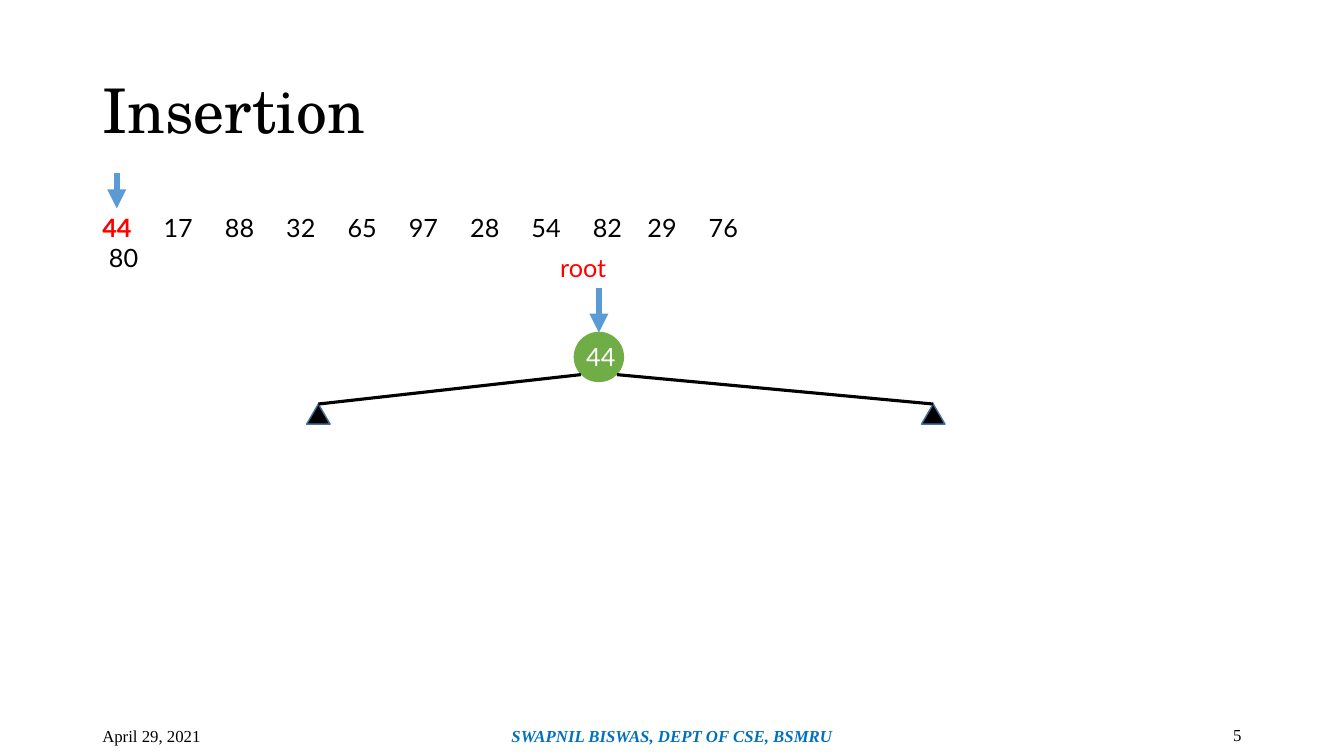
from dataclasses import dataclass

from lxml.etree import SubElement as Sub
from pptx import Presentation
from pptx.dml.color import RGBColor as Rgb
from pptx.enum.shapes import MSO_CONNECTOR as Link, MSO_SHAPE as Kind
from pptx.enum.text import MSO_ANCHOR as Anchor, MSO_AUTO_SIZE as Fit, PP_ALIGN as Align
from pptx.oxml.ns import qn
from pptx.util import Inches, Pt

COLS, ROWS = 160, 90  # slide grid of square cells
CELL = Inches(7.5) / ROWS
LINE = 4.8  # rows taken by one line of text


@dataclass(frozen=True)
class Theme:
    ink: str = "000000"
    paper: str = "FFFFFF"
    mark: str = "FF0000"
    arrow: str = "5B9BD5"
    node: str = "70AD47"
    edge: str = "42719B"
    credit: str = "0070C0"
    head: str = "TeX Gyre Schola"
    body: str = "Lato"
    foot: str = "Times New Roman"
    big: int = 44
    mid: int = 18
    small: int = 12


T = Theme()


def cells(*nums):
    return [round(n * CELL) for n in nums]


def style(font, face, size, color, bold=False, slant=False):
    font.name, font.size = face, Pt(size)
    font.bold, font.italic = bold, slant
    font.color.rgb = Rgb.from_string(color)


def label(shapes, box, text, face=T.body, size=T.mid, color=T.ink,
          align=Align.LEFT, anchor=Anchor.TOP, **looks):
    frame = shapes.add_textbox(*cells(*box)).text_frame
    frame.word_wrap, frame.vertical_anchor = True, anchor
    para = frame.paragraphs[0]
    para.text, para.alignment = text, align
    style(para.font, face, size, color, **looks)
    return para


def solid(shapes, kind, box, fill, edge=None):
    shape = shapes.add_shape(kind, *cells(*box))
    shape.shadow.inherit = False
    shape.fill.solid()
    shape.fill.fore_color.rgb = Rgb.from_string(fill)
    if edge:
        shape.line.color.rgb = Rgb.from_string(edge)
        shape.line.width = Pt(1)
    else:
        shape.line.fill.background()


def stroke(shapes, start, end, color, width, arrow=False):
    line = shapes.add_connector(Link.STRAIGHT, *cells(*start, *end))
    line.line.color.rgb = Rgb.from_string(color)
    line.line.width = Pt(width)
    props = line._element.spPr
    if arrow:
        Sub(props.find(qn("a:ln")), qn("a:tailEnd"), type="triangle")
    Sub(props, qn("a:effectLst"))


def title(slide, box, text):
    shape = slide.shapes.title
    shape.left, shape.top, shape.width, shape.height = cells(*box)
    frame = shape.text_frame
    frame.auto_size, frame.vertical_anchor = Fit.NONE, Anchor.MIDDLE
    para = frame.paragraphs[0]
    para.text, para.alignment, para.line_spacing = text, Align.LEFT, 0.9
    style(para.font, T.head, T.big, T.ink)


def keys(shapes, box, first, rest, last):
    """Row of keys on tab stops, the last one on a second line."""
    x, y = box[:2]
    stroke(shapes, (x + 2.9, y - 4.1), (x + 2.9, y + 0.1), T.arrow, 4.5, True)
    para = label(shapes, box, "")
    step, shift = 7.3, 0.8  # the final two keys stand a little closer
    stops = [shift] + [step * i - (shift if i > 8 else 0)
                       for i in range(1, len(rest) + 1)]
    tabs = Sub(para._p.get_or_add_pPr(), qn("a:tabLst"))
    for stop in cells(*stops):
        Sub(tabs, qn("a:tab"), pos=str(stop), algn="l")
    # tab stops must come before the default font
    props = para._p.pPr
    props.insert(0, tabs)
    head = para.add_run()
    head.text = first
    style(head.font, T.body, T.mid, T.mark, bold=True)
    para.add_run().text = "".join(f"\t{key}" for key in rest)
    para.add_line_break()
    para.add_run().text = f"\t{last}"


def tree(shapes, box, key):
    """Root node with two empty leaves at the lower corners of the box."""
    x, y, w, h = box
    mid, size = x + 34.8, 6
    top = y + 10
    # Root pointer
    label(shapes, (x + 29, y, 11.6, LINE), "root", color=T.mark)
    stroke(shapes, (mid, y + LINE), (mid, top + 0.1), T.arrow, 4.5, True)
    # Node
    group = shapes.add_group_shape().shapes
    solid(group, Kind.OVAL, (mid - size / 2, top, size, size), T.node)
    label(group, (mid - 2.7, top + 0.6, 8.5, LINE), key, color=T.paper)
    # Leaves and edges
    wide, tall = 2.8, 2.4
    leaf = y + h - tall
    for side, left in ((-1, x), (1, x + w - wide)):
        solid(shapes, Kind.ISOSCELES_TRIANGLE, (left, leaf, wide, tall), T.ink, T.edge)
        stroke(shapes, (mid + side * 2.15, top + 5.1), (left + wide / 2, leaf), T.ink, 2.25)


def footer(shapes, box, date, credit, page):
    x, y, w, h = box
    side, span = 36, 54
    looks = dict(face=T.foot, size=T.small, anchor=Anchor.MIDDLE)
    label(shapes, (x + (w - span) / 2, y, span, h), credit, color=T.credit,
          align=Align.CENTER, bold=True, slant=True, **looks)
    label(shapes, (x, y, side, h), date, **looks)
    label(shapes, (x + w - side, y - 0.1, side, h), page, align=Align.RIGHT, **looks)


def main():
    deck = Presentation()
    deck.slide_width, deck.slide_height = cells(COLS, ROWS)
    slide = deck.slides.add_slide(deck.slide_layouts[5])
    shapes = slide.shapes
    edge = 11
    wide = COLS - 2 * edge
    title(slide, (edge, 4.8, wide, 17.4), "Insertion")
    keys(shapes, (edge, 24.7, 81.4, LINE), "44",
         [17, 88, 32, 65, 97, 28, 54, 82, 29, 76], "80")
    tree(shapes, (36.5, 29.5, 76, 21), "44")
    footer(shapes, (edge, 85.2, wide, LINE), "April 29, 2021",
           "SWAPNIL BISWAS, DEPT OF CSE, BSMRU", "5")
    deck.save("out.pptx")


if __name__ == "__main__":
    main()
